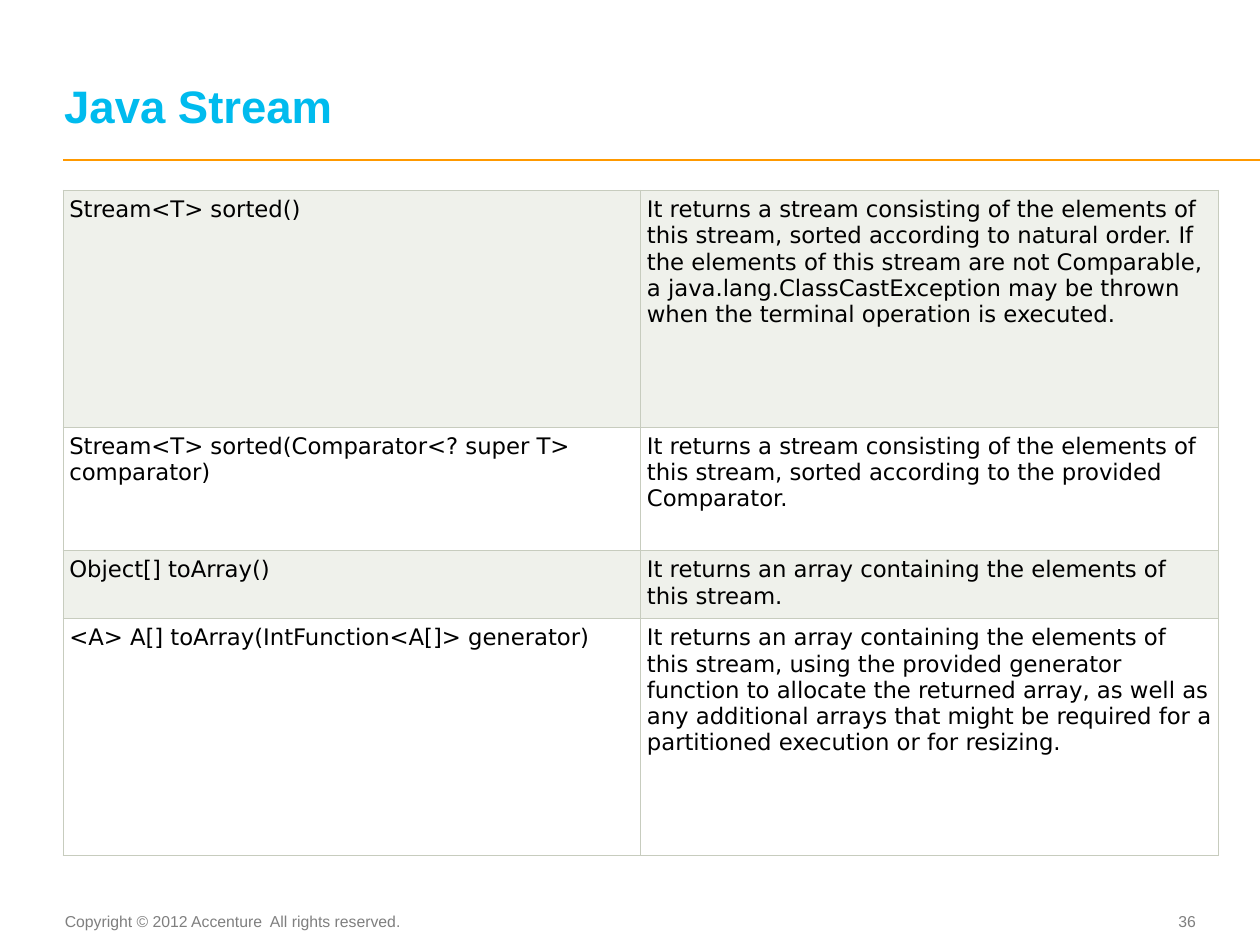
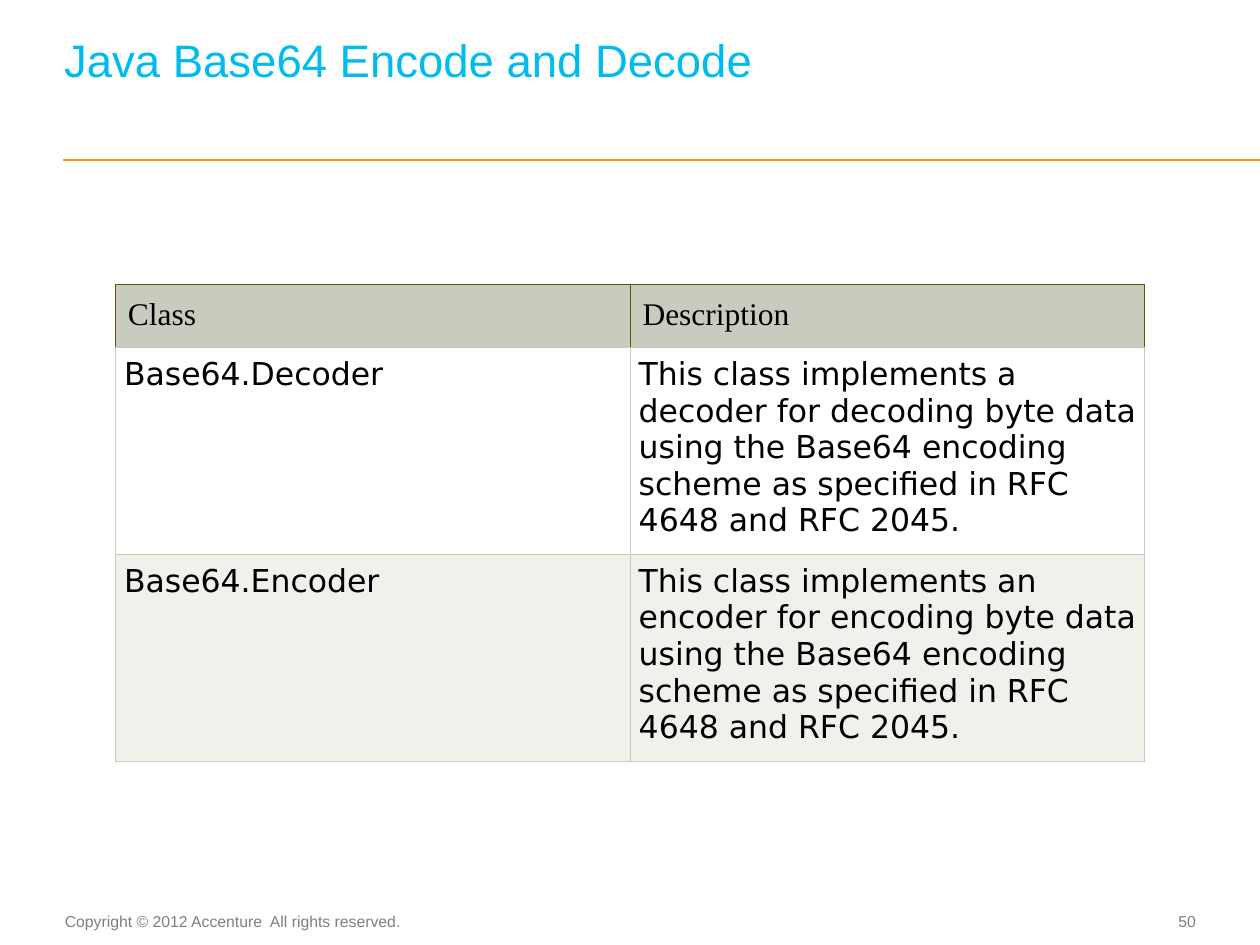
from dataclasses import dataclass

from lxml import etree
from pptx import Presentation
from pptx.dml.color import RGBColor
from pptx.enum.shapes import MSO_CONNECTOR
from pptx.enum.text import MSO_ANCHOR, PP_ALIGN
from pptx.oxml.ns import qn
from pptx.util import Inches, Pt

LEFT, CENTER, RIGHT = PP_ALIGN.LEFT, PP_ALIGN.CENTER, PP_ALIGN.RIGHT
TOP, MIDDLE, BOTTOM = MSO_ANCHOR.TOP, MSO_ANCHOR.MIDDLE, MSO_ANCHOR.BOTTOM
STRAIGHT = MSO_CONNECTOR.STRAIGHT


@dataclass(frozen=True)
class Theme:
    title: str = "00BBEE"
    rule: str = "FF9900"
    footer: str = "7F7F7F"
    ink: str = "000000"
    plain: str = "FFFFFF"
    tint: str = "EFF1EB"
    sage: str = "C7CCBE"
    olive: str = "605406"
    sans: str = "Arial"
    body: str = "DejaVu Sans"
    serif: str = "Times New Roman"
    title_size: int = 26
    footer_size: int = 9
    border_width: float = 0.6


THEME = Theme()
WIDTH, HEIGHT = 10, 7.5
MARGIN = WIDTH / 20

# Content; row heights of 0 let each row fit its text
COPYRIGHT = "Copyright © 2012 Accenture  All rights reserved."
SLIDES = [
    dict(
        title="Java Stream", bold=True, lines_below=0, number=36,
        table=dict(
            left=MARGIN, top=1.51, width=9.17, height=5.28,
            row_heights=[1.88, 0.98, 0.54, 1.88],
            size=13, insets=(0.05, 0.05, 0.05, 0.05),
            first_fill=THEME.tint, header=None,
            rows=[
                ("Stream<T> sorted()",
                 "It returns a stream consisting of the elements of this stream, "
                 "sorted according to natural order. If the elements of this stream "
                 "are not Comparable, a java.lang.ClassCastException may be thrown "
                 "when the terminal operation is executed."),
                ("Stream<T> sorted(Comparator<? super T> comparator)",
                 "It returns a stream consisting of the elements of this stream, "
                 "sorted according to the provided Comparator."),
                ("Object[] toArray()",
                 "It returns an array containing the elements of this stream."),
                ("<A> A[] toArray(IntFunction<A[]> generator)",
                 "It returns an array containing the elements of this stream, using "
                 "the provided generator function to allocate the returned array, as "
                 "well as any additional arrays that might be required for a "
                 "partitioned execution or for resizing."),
            ],
        ),
    ),
    dict(
        title="Java Base64 Encode and Decode", bold=False, lines_below=1, number=50,
        table=dict(
            left=(WIDTH - 8.17) / 2, top=2.26, width=8.17, height=3.77,
            row_heights=[0, 0, 0],
            size=18, insets=(0.07, 0.07, 0.06, 0.07),
            first_fill=THEME.plain, header=("Class", "Description"),
            rows=[
                ("Base64.Decoder",
                 "This class implements a decoder for decoding byte data using the "
                 "Base64 encoding scheme as specified in RFC 4648 and RFC 2045."),
                ("Base64.Encoder",
                 "This class implements an encoder for encoding byte data using the "
                 "Base64 encoding scheme as specified in RFC 4648 and RFC 2045."),
            ],
        ),
    ),
]


def write(frame, text, *, font=THEME.sans, size, color, bold=False, align=LEFT, leading=None):
    paragraph = frame.paragraphs[0]
    paragraph.alignment = align
    if leading:
        paragraph.line_spacing = Pt(leading)
    run = paragraph.add_run()
    run.text = text
    run.font.name, run.font.size, run.font.bold = font, Pt(size), bold
    run.font.color.rgb = RGBColor.from_string(color)


def set_insets(holder, left, top, right, bottom):
    holder.margin_left, holder.margin_top = Inches(left), Inches(top)
    holder.margin_right, holder.margin_bottom = Inches(right), Inches(bottom)


def add_label(slide, text, box, *, insets=(0, 0, 0, 0), anchor=TOP, wrap=True, **style):
    frame = slide.shapes.add_textbox(*map(Inches, box)).text_frame
    frame.word_wrap = wrap
    frame.vertical_anchor = anchor
    set_insets(frame, *insets)
    write(frame, text, **style)


# Title, rule and footer shared by all slides
def add_frame(slide, title, bold, lines_below, number):
    rule = slide.shapes.add_connector(
        STRAIGHT, Inches(MARGIN), Inches(1.27), Inches(WIDTH), Inches(1.27))
    rule.line.color.rgb = RGBColor.from_string(THEME.rule)
    rule.line.width = Pt(1)
    etree.SubElement(rule._element.spPr, qn("a:effectLst"))

    footer = dict(size=THEME.footer_size, color=THEME.footer)
    add_label(slide, COPYRIGHT, (0.49, 7.19, 2.81, 0.25), insets=(0, 0.05, 0.1, 0.05),
              wrap=False, align=CENTER, **footer)
    add_label(slide, str(number), (8.9, 7.18, 0.59, 0.27), anchor=MIDDLE,
              align=RIGHT, **footer)
    space_below = lines_below * THEME.title_size / 72
    add_label(slide, title, (0.51, 0.19, 8.97, 0.86), insets=(0, 0, 0, space_below),
              anchor=BOTTOM, size=THEME.title_size, color=THEME.title, bold=bold,
              leading=THEME.title_size)


def set_borders(cell, side_colors):
    properties = cell._tc.get_or_add_tcPr()
    for position, (side, color) in enumerate(side_colors.items()):
        border = etree.Element(qn(f"a:ln{side}"), w=str(Pt(THEME.border_width)))
        fill = etree.SubElement(border, qn("a:solidFill"))
        etree.SubElement(fill, qn("a:srgbClr"), val=color)
        properties.insert(position, border)


def fill_cell(cell, text, *, fill, insets, borders, **style):
    set_insets(cell, *insets)
    cell.fill.solid()
    cell.fill.fore_color.rgb = RGBColor.from_string(fill)
    set_borders(cell, borders)
    write(cell.text_frame, text, color=THEME.ink, **style)


def add_grid(slide, left, top, width, height, row_heights, size, insets, first_fill,
             header, rows):
    holder = slide.shapes.add_table(
        len(row_heights), 2, *map(Inches, (left, top, width, height)))
    grid = holder.table
    grid.first_row = grid.horz_banding = False
    for column in grid.columns:
        column.width = Inches(width / 2)
    for row, row_height in zip(grid.rows, row_heights):
        row.height = Inches(row_height)
    holder.height = Inches(height)

    # Header row, when there is one
    if header:
        borders = dict.fromkeys("LRT", THEME.olive) | {"B": THEME.sage}
        for column, text in enumerate(header):
            fill_cell(grid.cell(0, column), text, fill=THEME.sage, insets=[0.1] * 4,
                      borders=borders, font=THEME.serif, size=size)

    # Body rows in alternating fills
    second_fill = THEME.plain if first_fill == THEME.tint else THEME.tint
    first_row = 1 if header else 0
    for index, texts in enumerate(rows):
        for column, text in enumerate(texts):
            fill_cell(grid.cell(first_row + index, column), text,
                      fill=second_fill if index % 2 else first_fill, insets=insets,
                      borders=dict.fromkeys("LRTB", THEME.sage),
                      font=THEME.body, size=size)


def main():
    deck = Presentation()
    deck.slide_width, deck.slide_height = Inches(WIDTH), Inches(HEIGHT)
    blank = deck.slide_layouts[6]
    for content in SLIDES:
        slide = deck.slides.add_slide(blank)
        add_frame(slide, content["title"], content["bold"], content["lines_below"],
                  content["number"])
        add_grid(slide, **content["table"])
    deck.save("out.pptx")


if __name__ == "__main__":
    main()
